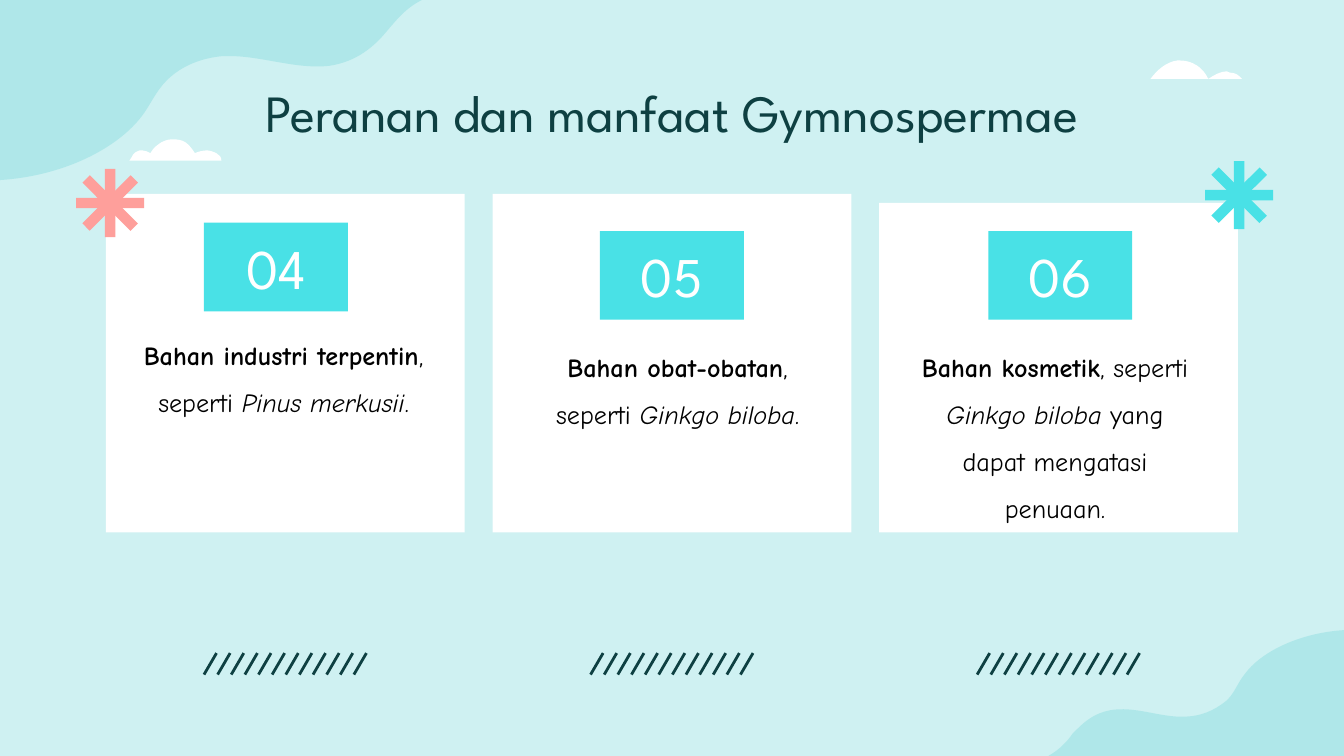
import lxml.etree
import pptx
import pptx.dml.color
import pptx.enum.shapes
import pptx.enum.text
import pptx.oxml.ns
import pptx.util

Pt = pptx.util.Pt
qn = pptx.oxml.ns.qn
ANCHOR = pptx.enum.text.MSO_ANCHOR
RECTANGLE = pptx.enum.shapes.MSO_SHAPE.RECTANGLE

THEME = {
    "background": "CFF1F2", "blob": "3AC5CA", "white": "FFFFFF", "dark": "0E4042",
    "black": "000000", "aqua": "49E1E6", "coral": "FE9F9B",
    "heading_font": "League Spartan", "body_font": "Comic Neue",
    "title_size": 28, "number_size": 30, "body_size": 14,
}

# Content: text runs are (text, style), style "b" bold, "i" italic
TITLE = "Peranan dan manfaat Gymnospermae"
CARDS = [
    {"number": "04", "top": 103.9, "badge": (109.3, 119.3), "body": (61.9, 169.9, 180, 80.6),
     "runs": [("Bahan industri terpentin", "b"), (", seperti ", ""),
              ("Pinus merkusii", "i"), (".", "")]},
    {"number": "05", "top": 103.9, "badge": (321.4, 123.8), "body": (274.8, 176.4, 176.4, 55.4),
     "runs": [("Bahan obat-obatan", "b"), (", seperti ", ""),
              ("Ginkgo biloba", "i"), (".", "")]},
    {"number": "06", "top": 108.7, "badge": (529.5, 123.8), "body": (481.3, 176.4, 167.8, 108.7),
     "runs": [("Bahan kosmetik", "b"), (", seperti ", ""),
              ("Ginkgo biloba ", "i"), ("yang dapat mengatasi penuaan.", "")]},
]
ASTERISKS = [(59, 108.8, "coral"), (663.8, 104.6, "aqua")]

# Outlines: a pair is a straight step, six numbers are a Bézier curve
BLOBS = [
    [(561.6, 405), (720, 405), (720, 337.6), (696.2, 339.1, 675.4, 349.2, 666.7, 361.4),
     (663.1, 365.8, 661.7, 370.8, 657.4, 375.1), (653, 378.7, 646.6, 383, 637.2, 383.8),
     (623.5, 385.2, 610.6, 378.7, 596.9, 380.2), (585.4, 381.6, 579.6, 388.1, 574.6, 393.1),
     (571.7, 397.4, 567.4, 401.8, 561.6, 405)],
    [(226.1, 0), (0, 0), (0, 96.5), (34.6, 94.3, 63.4, 79.2, 76.3, 61.9),
     (80.6, 56.2, 83.5, 49, 89.3, 43.2), (95.8, 36.7, 105.1, 31.7, 118.1, 30.2),
     (137.5, 28.8, 157, 37.4, 176.4, 35.3), (191.5, 33.1, 200.9, 24.5, 207.4, 16.6),
     (212.4, 10.8, 217.4, 4.3, 226.1, 0)],
]
CLOUDS = [
    [(92.9, 74.7), (92.9, 74.7, 92.2, 74.7, 91.4, 74.7), (89.3, 74.9, 87.8, 75.6, 86.4, 76.3),
     (84.2, 77.8, 82.1, 79.2, 80.6, 82.1), (79.2, 81.4, 77.8, 80.6, 76.3, 80.6),
     (75.6, 80.6, 75.6, 80.6, 74.9, 80.6), (72.7, 81.4, 71.3, 82.1, 70.6, 84.2),
     (69.8, 85, 69.8, 85.7, 69.3, 86.1), (118.6, 86.1), (118.6, 84.2, 117.4, 82.8, 115.9, 82.1),
     (114.5, 81.4, 112.3, 80.6, 110.9, 80.6), (110.9, 80.6, 110.9, 80.6, 110.9, 80.6),
     (108.7, 80.6, 105.8, 81.4, 104.4, 82.1), (103, 79.9, 101.5, 77.8, 99.4, 76.3),
     (97.2, 74.9, 95, 74.7, 92.9, 74.7)],
    [(632.2, 32.4), (631.4, 32.4, 631.4, 32.4, 630.7, 32.4),
     (625, 33.1, 619.9, 37.4, 616.3, 42.3), (665.3, 42.3),
     (663.8, 40.3, 661.7, 38.9, 658.8, 38.9), (658.1, 38.9, 657.4, 38.2, 657.4, 38.2),
     (653.8, 38.2, 650.2, 40.3, 647.3, 42.3), (644.4, 36, 638.6, 32.4, 632.2, 32.4)],
]

# Layout rules
CARD_LEFT, CARD_STEP, CARD_WIDTH, CARD_BOTTOM = 56.8, 207.1, 192.2, 285.3
BADGE_WIDTH, BADGE_HEIGHT = 77.1, 47.5
HATCH_LEFT, HATCH_STEP, HATCH_COUNT = 109.3, 7.3, 12
HATCH_TOP, HATCH_BOTTOM, HATCH_SLANT = 349.9, 361.4, 6.7
ARM_WIDTH, ARM_LENGTH = 5.6, 36.5


def color(name):
    return pptx.dml.color.RGBColor.from_string(THEME[name])


def paint(shape, fill, alpha=None):
    shape.shadow.inherit = False
    shape.fill.solid()
    shape.fill.fore_color.rgb = color(fill)
    shape.line.fill.background()
    if alpha:
        tint = shape._element.spPr.find(".//" + qn("a:srgbClr"))
        lxml.etree.SubElement(tint, qn("a:alpha")).set("val", str(alpha * 1000))


def add_rectangle(shapes, left, top, width, height, fill):
    shape = shapes.add_shape(RECTANGLE, Pt(left), Pt(top), Pt(width), Pt(height))
    paint(shape, fill)
    return shape


def add_outline(shapes, steps, fill, alpha=None):
    ends = [(Pt(step[-2]), Pt(step[-1])) for step in steps]
    builder = shapes.build_freeform(*ends[0])
    builder.add_line_segments(ends[1:])
    shape = builder.convert_to_shape()
    # Turn the straight segments of curved steps into Bézier segments
    segments = list(shape._element.iter(qn("a:lnTo")))
    for segment, step in zip(segments, steps[1:]):
        if len(step) == 6:
            curve = lxml.etree.Element(qn("a:cubicBezTo"))
            for x, y in zip(step[::2], step[1::2]):
                point = lxml.etree.SubElement(curve, qn("a:pt"))
                point.set("x", str(Pt(x) - shape.left))
                point.set("y", str(Pt(y) - shape.top))
            segment.getparent().replace(segment, curve)
    paint(shape, fill, alpha)


def write_text(shape, runs, *, font, size, ink, anchor=ANCHOR.TOP, spacing=None, inset=7.2):
    frame = shape.text_frame
    frame.word_wrap = True
    frame.vertical_anchor = anchor
    frame.margin_left = frame.margin_right = Pt(7.2)
    frame.margin_top = frame.margin_bottom = Pt(inset)
    paragraph = frame.paragraphs[0]
    paragraph.alignment = pptx.enum.text.PP_ALIGN.CENTER
    if spacing:
        paragraph.line_spacing = spacing
    for text, style in runs:
        run = paragraph.add_run()
        run.text = text
        run.font.name = THEME[font]
        run.font.size = Pt(THEME[size])
        run.font.color.rgb = color(ink)
        run.font.bold = style == "b"
        run.font.italic = style == "i"


def add_hatch(shapes, left):
    group = shapes.add_group_shape()
    for index in range(HATCH_COUNT):
        x = left + index * HATCH_STEP
        line = group.shapes.add_connector(
            pptx.enum.shapes.MSO_CONNECTOR.STRAIGHT,
            Pt(x + HATCH_SLANT), Pt(HATCH_TOP), Pt(x), Pt(HATCH_BOTTOM))
        line.line.color.rgb = color("dark")
        line.line.width = Pt(1.5)
        lxml.etree.SubElement(line._element.spPr, qn("a:effectLst"))


def add_asterisk(shapes, x, y, fill):
    group = shapes.add_group_shape()
    for angle in (0, 45.2, 90, 135.2):
        arm = add_rectangle(group.shapes, x - ARM_WIDTH / 2, y - ARM_LENGTH / 2,
                            ARM_WIDTH, ARM_LENGTH, fill)
        arm.rotation = angle


def main():
    presentation = pptx.Presentation()
    presentation.slide_width, presentation.slide_height = Pt(720), Pt(405)
    slide = presentation.slides.add_slide(presentation.slide_layouts[6])
    slide.background.fill.solid()
    slide.background.fill.fore_color.rgb = color("background")
    shapes = slide.shapes

    # Backdrop
    for blob in BLOBS:
        add_outline(shapes, blob, "blob", alpha=21)

    # Card panels, the last one at the back
    for index, card in reversed(list(enumerate(CARDS))):
        add_rectangle(shapes, CARD_LEFT + index * CARD_STEP, card["top"], CARD_WIDTH,
                      CARD_BOTTOM - card["top"], "white")

    # Title
    title = shapes.add_textbox(Pt(56.8), Pt(35.6), Pt(606.4), Pt(45.4))
    write_text(title, [(TITLE, "")], font="heading_font", size="title_size", ink="dark")

    # Number badges
    for card in CARDS:
        badge = add_rectangle(shapes, *card["badge"], BADGE_WIDTH, BADGE_HEIGHT, "aqua")
        write_text(badge, [(card["number"], "")], font="heading_font", size="number_size",
                   ink="white", anchor=ANCHOR.MIDDLE)

    # Decorations
    for index in range(len(CARDS)):
        add_hatch(shapes, HATCH_LEFT + index * CARD_STEP)
    for asterisk in ASTERISKS:
        add_asterisk(shapes, *asterisk)
    for cloud in CLOUDS:
        add_outline(shapes, cloud, "white")

    # Card texts
    for card in CARDS:
        body = shapes.add_textbox(*map(Pt, card["body"]))
        write_text(body, card["runs"], font="body_font", size="body_size", ink="black",
                   spacing=1.5, inset=3.6)

    presentation.save("out.pptx")


if __name__ == "__main__":
    main()
